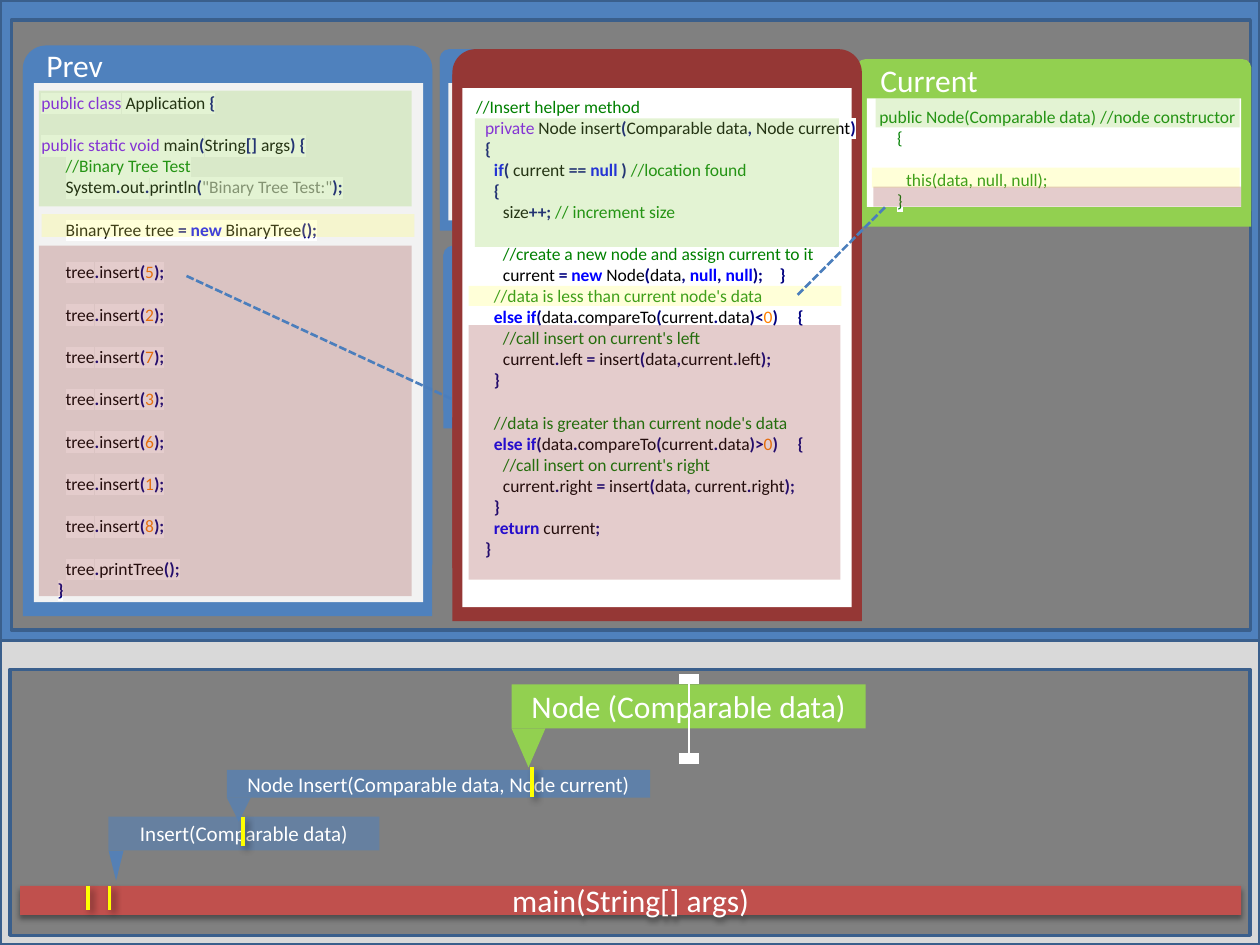
"""Draws a slide that traces a binary tree insertion through code panels and call bars."""
from dataclasses import dataclass
from itertools import groupby
from typing import Iterator, Optional

from lxml import etree
from pptx import Presentation
from pptx import util as u
from pptx.dml.color import RGBColor
from pptx.enum import dml, shapes, text
from pptx.oxml import ns


@dataclass(frozen=True)
class Theme:
    font: str = "Calibri"
    code: float = 10
    call: float = 12
    head: float = 18
    blue: str = "4F81BD"
    edge: str = "3A5F8C"
    dash: str = "4B7EBC"
    grey: str = "808080"
    pale: str = "D9D9D9"
    page: str = "F2F2F2"
    white: str = "FFFFFF"
    lime: str = "92D050"
    wine: str = "953735"
    red: str = "C0504D"
    glow: str = "FFFF66"
    mark: str = "FFFF00"
    black: str = "000000"
    navy: str = "000080"
    green: str = "008000"
    plum: str = "8000FF"
    key: str = "0000FF"
    amber: str = "FF8000"


@dataclass(frozen=True)
class Box:
    x: float
    y: float
    w: float
    h: float


@dataclass(frozen=True)
class Panel:
    cap: Box
    body: Box
    sheet: Box
    fill: str
    paper: str


@dataclass(frozen=True)
class Code:
    box: Box
    step: float
    lines: str
    plain: bool = False


@dataclass(frozen=True)
class Call:
    bar: Box
    tip: Box
    label: str
    size: float
    fill: str
    solid: tuple[int, int]


@dataclass(frozen=True)
class Shade:
    alpha: int
    blur: float
    dist: float
    angle: int


T = Theme()
RECT = shapes.MSO_SHAPE.RECTANGLE
ROUND = shapes.MSO_SHAPE.ROUND_2_SAME_RECTANGLE
WEDGE = shapes.MSO_SHAPE.ISOSCELES_TRIANGLE
PLUM = {"public", "class", "static", "void", "private"}
BLUE = {"new", "null", "if", "else", "return"}
BAR = Shade(38, 3.1, 1.6, 90)
TICK = Shade(40, 4, 3, 45)

deck = Presentation()
deck.slide_width, deck.slide_height = u.Pt(720), u.Pt(540)
slide = deck.slides.add_slide(deck.slide_layouts[6])


def child(node, tag: str, **attrs):
    return etree.SubElement(node, ns.qn(tag), {k: str(v) for k, v in attrs.items()})


def cast(item, shade: Optional[Shade]) -> None:
    glow = child(item._element.spPr, "a:effectLst")
    if shade:
        drop = child(glow, "a:outerShdw", blurRad=u.Pt(shade.blur), dist=u.Pt(shade.dist),
                     dir=shade.angle * 60000, algn="ctr", rotWithShape=0)
        child(child(drop, "a:srgbClr", val=T.black), "a:alpha", val=shade.alpha * 1000)


def draw(kind, box: Box, fill: str, solid: int = 100, edge: str = "", shade: Optional[Shade] = None):
    item = slide.shapes.add_shape(kind, u.Pt(box.x), u.Pt(box.y), u.Pt(box.w), u.Pt(box.h))
    item.fill.solid()
    item.fill.fore_color.rgb = RGBColor.from_string(fill)
    if solid < 100:
        tint = item._element.spPr.find(ns.qn("a:solidFill"))[0]
        child(tint, "a:alpha", val=solid * 1000)
    if edge:
        item.line.color.rgb = RGBColor.from_string(edge)
        item.line.width = u.Pt(2)
    else:
        item.line.fill.background()
    cast(item, shade)
    return item


def link(x: float, y: float, x2: float, y2: float, tint: str, width: float,
         dash: bool = False, shade: Optional[Shade] = None) -> None:
    item = slide.shapes.add_connector(shapes.MSO_CONNECTOR.STRAIGHT, u.Pt(x), u.Pt(y), u.Pt(x2), u.Pt(y2))
    item.line.color.rgb = RGBColor.from_string(tint)
    item.line.width = u.Pt(width)
    if dash:
        item.line.dash_style = dml.MSO_LINE.SQUARE_DOT
    cast(item, shade)


def style(run, size: float, tint: str, bold: bool = False) -> None:
    run.font.name, run.font.size, run.font.bold = T.font, u.Pt(size), bold
    run.font.color.rgb = RGBColor.from_string(tint)


def label(item, words: str, size: float, align=text.PP_ALIGN.CENTER) -> None:
    frame = item.text_frame
    frame.text = words
    frame.vertical_anchor = text.MSO_ANCHOR.MIDDLE
    frame.paragraphs[0].alignment = align
    style(frame.paragraphs[0].runs[0], size, T.white)


def note(box: Box, words: str) -> None:
    item = slide.shapes.add_textbox(u.Pt(box.x), u.Pt(box.y), u.Pt(box.w), u.Pt(box.h))
    item.text_frame.word_wrap = True
    label(item, words, T.head, text.PP_ALIGN.LEFT)


def panel(spec: Panel) -> None:
    draw(ROUND, spec.cap, spec.fill).adjustments[0] = 0.057
    draw(RECT, spec.body, spec.fill)
    draw(RECT, spec.sheet, spec.paper)


def sort(char: str) -> str:
    return "word" if char.isalnum() else "gap" if char.isspace() else "sign"


def split(line: str) -> Iterator[tuple[str, str, bool]]:
    left, mark, rest = line.partition("//")
    for i, part in enumerate(left.split('"')):
        if i % 2:
            yield f'"{part}"', T.grey, False
            continue
        for kind, chars in groupby(part, sort):
            word = "".join(chars)
            tint = (T.navy if kind == "sign" else T.plum if word in PLUM else T.key if word in BLUE
                    else T.amber if word.isdigit() else T.black)
            yield word, tint, tint in (T.navy, T.key)
    if mark:
        yield mark + rest, T.green, False


def write(code: Code) -> None:
    box = code.box
    frame = slide.shapes.add_textbox(u.Pt(box.x), u.Pt(box.y), u.Pt(box.w), u.Pt(box.h)).text_frame
    frame.word_wrap = True
    frame.margin_right = 0
    para, gap = frame.paragraphs[0], 0.0
    for i, line in enumerate(code.lines.split("\n")):
        if not line:
            gap = 12.2
            continue
        para = frame.add_paragraph() if i else para
        para._p.get_or_add_pPr().set("defTabSz", str(u.Pt(code.step)))
        para.space_before, gap = u.Pt(gap), 0.0
        for word, tint, bold in [(line, T.green, False)] if code.plain else split(line):
            run = para.add_run()
            run.text = word
            style(run, T.code, tint, bold)
            back = etree.Element(ns.qn("a:highlight"))
            child(back, "a:srgbClr", val=T.white)
            run.font._element.find(ns.qn("a:solidFill")).addnext(back)


def call(spec: Call) -> None:
    draw(WEDGE, spec.tip, spec.fill, spec.solid[0]).rotation = 180
    label(draw(RECT, spec.bar, spec.fill, spec.solid[1]), spec.label, spec.size)


def tick(x: float, y: float, high: float = 17) -> None:
    link(x, y, x, y + high, T.mark, 2.25, shade=TICK)


def veil(*bands: tuple[Box, str]) -> None:
    for box, tint in bands:
        draw(RECT, box, tint, 25)


inserts = "\n\n".join(f"\t\t\ttree.insert({n});" for n in (5, 2, 7, 3, 6, 1, 8))
main = Code(Box(16.6, 49, 215, 298), 4.6, f"""public class Application {{

public static void main(String[] args) {{
\t\t\t//Binary Tree Test
\t\t\tSystem.out.println("Binary Tree Test:");

\t\t\tBinaryTree tree = new BinaryTree();

{inserts}

\t\t\ttree.printTree();
\t\t}}""")
node = Code(Box(495.4, 56.9, 222, 67.7), 5.1, """public Node(Comparable data) //node constructor
\t\t{

\t\t\tthis(data, null, null);
\t\t}""", True)
helper = Code(Box(265, 51.1, 232, 286), 5.1, """//Insert helper method
\tprivate Node insert(Comparable data, Node current)
\t{
\t\tif( current == null ) //location found
\t\t{
\t\t\tsize++; // increment size

\t\t\t//create a new node and assign current to it
\t\t\tcurrent = new Node(data, null, null); \t\t}
\t\t//data is less than current node's data
\t\telse if(data.compareTo(current.data)<0) \t\t{
\t\t\t//call insert on current's left
\t\t\tcurrent.left = insert(data,current.left);
\t\t}

\t\t//data is greater than current node's data
\t\telse if(data.compareTo(current.data)>0) \t\t{
\t\t\t//call insert on current's right
\t\t\tcurrent.right = insert(data, current.right);
\t\t}
\t\treturn current;
\t}""")

for box, fill in ((Box(0, 366, 720, 174), T.pale), (Box(0, 0, 720, 366), T.blue),
                  (Box(5.8, 382.5, 708.5, 152), T.grey), (Box(6.5, 11.5, 708, 348.5), T.grey)):
    draw(RECT, box, fill, edge=T.edge)

panel(Panel(Box(13, 26, 234, 296.6), Box(13, 39.6, 234, 312.5), Box(19.4, 47.5, 222.5, 296.6), T.blue, T.page))
note(Box(19.4, 22.3, 60, 29), "Prev")
write(main)
veil((Box(23.8, 122.4, 213, 13), T.glow), (Box(22.3, 51.8, 213, 66.2), T.lime),
     (Box(22.3, 140.4, 213, 200.2), T.wine))
panel(Panel(Box(251.3, 28.1, 206, 94.3), Box(251.3, 32.4, 206, 99.4), Box(256.3, 47.5, 196, 78.5), T.blue, T.page))
panel(Panel(Box(253.4, 140.4, 208, 94.3), Box(253.4, 145.4, 208, 99.4), Box(258.5, 160, 198, 78.5), T.blue, T.page))
link(106.6, 157.7, 275.8, 236.2, T.dash, 1.5, dash=True)

panel(Panel(Box(489.6, 33.8, 225.4, 87), Box(489.6, 38.2, 225.4, 91.4), Box(495.4, 56.2, 213.8, 62), T.lime, T.white))
note(Box(496, 31, 90, 29), "Current")
write(node)
veil((Box(498.2, 95.8, 210.2, 11.5), T.glow), (Box(499, 106.6, 210.2, 11.5), T.wine),
     (Box(500.4, 56.2, 208, 16.6), T.lime))

label(draw(RECT, Box(11.5, 506.2, 697.7, 16.6), T.red, shade=BAR), "main(String[] args)", T.head)
for x in (50.4, 62.6):
    tick(x, 506.2, 13.7)
call(Call(Box(62, 466.6, 154.8, 19.4), Box(62, 486, 8.6, 17.3), "Insert(Comparable data)", T.call, T.blue, (87, 53)))
tick(139, 466.6)
call(Call(Box(129.6, 440, 242, 15.8), Box(129.6, 455.8, 13.7, 13.7),
          "Node Insert(Comparable data, Node current)", T.call, T.blue, (67, 67)))
call(Call(Box(292.3, 391, 202.3, 25.2), Box(292.3, 416.2, 19.4, 22.3),
          "Node (Comparable data)", T.head, T.lime, (100, 100)))
tick(303.8, 438.5)
top, foot, mid = 388.1, 433.4, 393.8
for y in (top, foot):
    link(mid - 5.8, y, mid + 5.8, y, T.white, 6)
link(mid, top, mid, foot, T.white, 1)

panel(Panel(Box(258.5, 28.1, 234, 296.6), Box(258.5, 42.5, 234, 312.5), Box(264.2, 50.4, 222.5, 296.6), T.wine, T.white))
write(helper)
veil((Box(267.8, 163.4, 213, 11.5), T.glow), (Box(267.8, 185.8, 212.4, 145.4), T.wine),
     (Box(271.4, 67.7, 208, 73.4), T.lime))
link(455.8, 168.5, 506.2, 118, T.dash, 1.5, dash=True)

deck.save("out.pptx")
